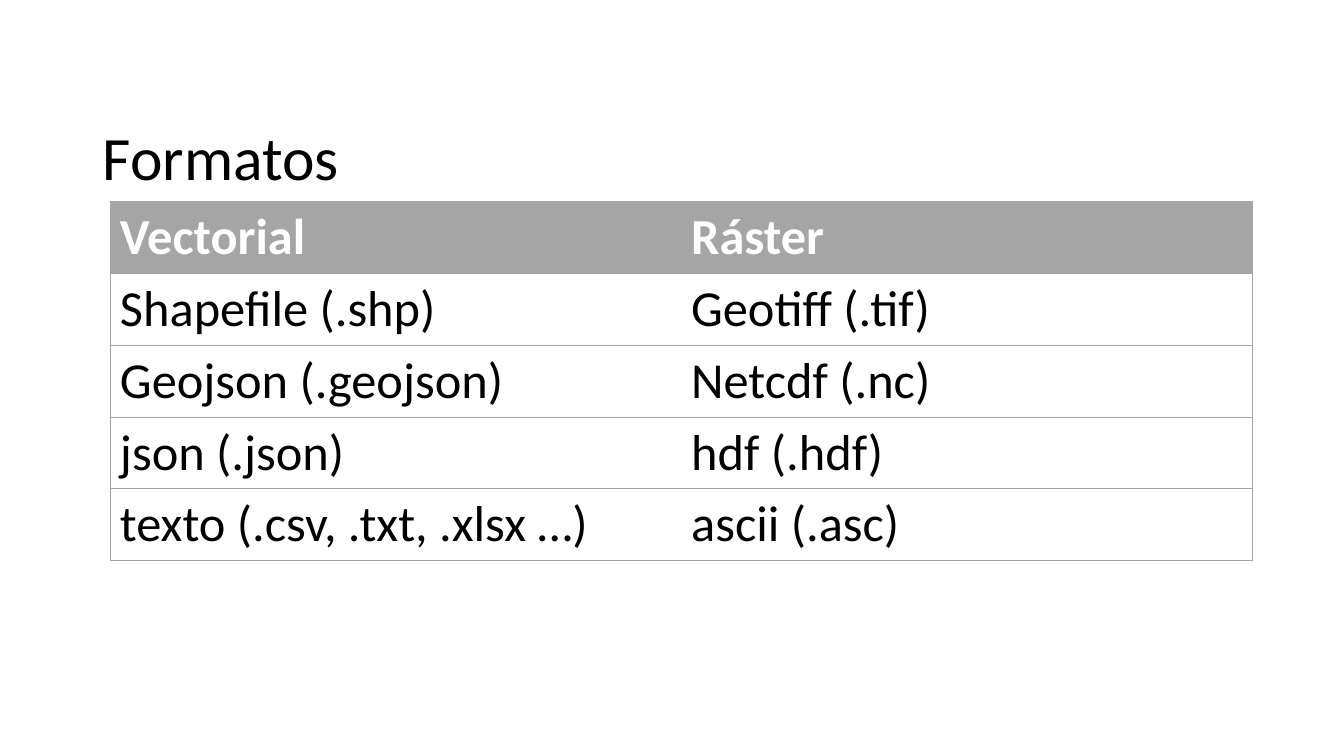
from lxml.etree import SubElement
from pptx import Presentation
from pptx.dml.color import RGBColor
from pptx.enum.text import MSO_ANCHOR, MSO_AUTO_SIZE, PP_ALIGN
from pptx.oxml.ns import qn
from pptx.util import Inches, Pt

# Content
TITLE = "Formatos"
FORMATS = [
    ("Vectorial", "Ráster"),
    ("Shapefile (.shp)", "Geotiff (.tif)"),
    ("Geojson (.geojson)", "Netcdf (.nc)"),
    ("json (.json)", "hdf (.hdf)"),
    ("texto (.csv, .txt, .xlsx …)", "ascii (.asc)"),
]

BLACK = RGBColor(0x00, 0x00, 0x00)
WHITE = RGBColor(0xFF, 0xFF, 0xFF)
GRAY = RGBColor(0xA5, 0xA5, 0xA5)
ROW_HEIGHT = 0.71
TABLE_WIDTH = 11.33


def write(frame, text, size, color=BLACK, bold=False, spacing=1.0):
    para = frame.paragraphs[0]
    para.alignment = PP_ALIGN.LEFT
    para.line_spacing = spacing
    span = para.add_run()
    span.text = text
    font = span.font
    font.name, font.size, font.bold = "Calibri", Pt(size), bold
    font.color.rgb = color


def set_borders(cell, visible_sides):
    properties = cell._tc.get_or_add_tcPr()
    for side in "LRTB":
        line = SubElement(properties, qn(f"a:ln{side}"), w=str(Pt(0.5)))
        if side in visible_sides:
            fill = SubElement(line, qn("a:solidFill"))
            SubElement(fill, qn("a:srgbClr"), val=str(GRAY))
        else:
            SubElement(line, qn("a:noFill"))


def add_title(page):
    title = page.shapes.title
    title.left, title.top = Inches(0.92), Inches(0.87)
    title.width, title.height = Inches(11.5), Inches(1.45)
    frame = title.text_frame
    frame.auto_size = MSO_AUTO_SIZE.NONE
    frame.vertical_anchor = MSO_ANCHOR.MIDDLE
    write(frame, TITLE, 44, spacing=0.9)


def add_formats(page):
    row_count, column_count = len(FORMATS), len(FORMATS[0])
    table = page.shapes.add_table(
        row_count, column_count, Inches(1.09), Inches(2),
        Inches(TABLE_WIDTH), Inches(ROW_HEIGHT * row_count)).table
    table.horz_banding = False
    for row, names in enumerate(FORMATS):
        header = row == 0
        for column, name in enumerate(names):
            cell = table.cell(row, column)
            # Rules between rows, but only the outer vertical edges
            set_borders(cell, "TB" + ("L" if column == 0 else "R"))
            cell.fill.solid()
            cell.fill.fore_color.rgb = GRAY if header else WHITE
            write(cell.text_frame, name, 36, WHITE if header else BLACK, header)


def main():
    deck = Presentation()
    deck.slide_width, deck.slide_height = Inches(13.33), Inches(7.5)
    page = deck.slides.add_slide(deck.slide_layouts[5])
    add_title(page)
    add_formats(page)
    deck.save("out.pptx")


if __name__ == "__main__":
    main()
